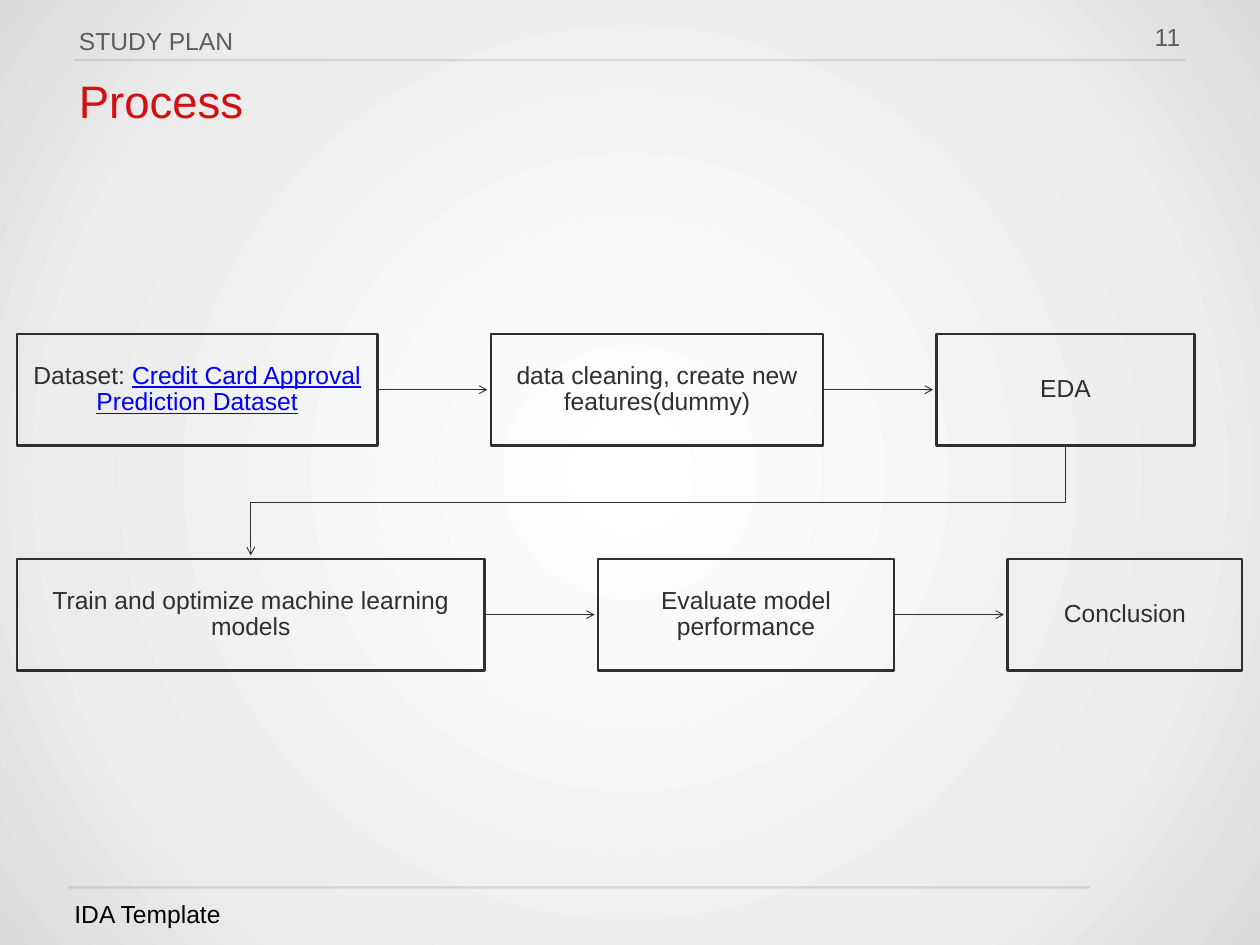
from dataclasses import dataclass
from lxml.etree import SubElement
from pptx import Presentation
from pptx.dml.color import RGBColor
from pptx.enum.shapes import MSO_CONNECTOR, MSO_SHAPE
from pptx.enum.text import MSO_ANCHOR, MSO_AUTO_SIZE, PP_ALIGN
from pptx.oxml.ns import qn
from pptx.util import Inches, Pt


@dataclass(frozen=True)
class Theme:
    font: str = "Arial"
    title_size: int = 37
    text_size: int = 20
    title: str = "D30F11"
    muted: str = "5A5F5E"
    ink: str = "2D302F"
    footer: str = "000000"
    link: str = "0000FF"
    background: tuple = ((0, "FFFFFF"), (73, "ECECEC"), (100, "DADADA"))
    rule_alpha: int = 16
    rule_width: float = 2
    arrow_width: float = 0.75


class Deck:
    def __init__(self, theme, width, height):
        self.theme = theme
        self.prs = Presentation()
        self.prs.slide_width = Inches(width)
        self.prs.slide_height = Inches(height)
        self.s = self.prs.slides.add_slide(self.prs.slide_layouts[5])

    def background(self):
        self.s.background.fill.gradient()
        grad = self.s.element.find(".//" + qn("a:gradFill"))
        for child in list(grad):
            grad.remove(child)
        stops = SubElement(grad, qn("a:gsLst"))
        for pos, color in self.theme.background:
            stop = SubElement(stops, qn("a:gs"), pos=str(pos * 1000))
            SubElement(stop, qn("a:srgbClr"), val=color)
        circle = SubElement(grad, qn("a:path"), {"path": "circle"})
        SubElement(circle, qn("a:fillToRect"),
                   {side: "50000" for side in "ltrb"})

    def set_text(self, sp, runs, size, align=PP_ALIGN.LEFT,
                 anchor=MSO_ANCHOR.TOP, inset=0.06, spacing=1.0):
        tf = sp.text_frame
        tf.word_wrap = True
        tf.auto_size = MSO_AUTO_SIZE.NONE
        tf.vertical_anchor = anchor
        tf.margin_left = tf.margin_right = Inches(inset)
        tf.margin_top = tf.margin_bottom = Inches(inset)
        p = tf.paragraphs[0]
        p.alignment = align
        p.line_spacing = spacing
        p.space_before = Pt(0)
        for text, color in runs:
            r = p.add_run()
            r.text = text
            r.font.name = self.theme.font
            r.font.size = Pt(size)
            r.font.color.rgb = RGBColor.from_string(color)
            if color == self.theme.link:
                r.font.underline = True

    def title(self, text, x, y, w, h):
        sp = self.s.shapes.title
        sp.left, sp.top, sp.width, sp.height = map(Inches, (x, y, w, h))
        self.set_text(sp, [(text, self.theme.title)], self.theme.title_size,
                      spacing=0.9)

    def label(self, text, color, x, y, w, h, **style):
        sp = self.s.shapes.add_textbox(*map(Inches, (x, y, w, h)))
        self.set_text(sp, [(text, color)], self.theme.text_size, **style)

    def stroke(self, sp, color, width):
        sp.line.color.rgb = RGBColor.from_string(color)
        sp.line.width = Pt(width)
        return sp.element.spPr.find(qn("a:ln"))

    def line(self, x1, y1, x2, y2, color, width):
        cx = self.s.shapes.add_connector(
            MSO_CONNECTOR.STRAIGHT, *map(Inches, (x1, y1, x2, y2)))
        ln = self.stroke(cx, color, width)
        SubElement(cx.element.spPr, qn("a:effectLst"))
        return ln

    def rule(self, x1, x2, y):
        ln = self.line(x1, y, x2, y, self.theme.muted, self.theme.rule_width)
        SubElement(ln.find(".//" + qn("a:srgbClr")), qn("a:alpha"),
                   val=str(self.theme.rule_alpha * 1000))

    def arrow(self, x1, x2, y):
        ln = self.line(x1, y, x2, y, self.theme.ink, self.theme.arrow_width)
        SubElement(ln, qn("a:tailEnd"), type="arrow")

    def bent_arrow(self, points):
        start, *rest = [(Inches(x), Inches(y)) for x, y in points]
        builder = self.s.shapes.build_freeform(*start)
        builder.add_line_segments(rest, close=False)
        sp = builder.convert_to_shape()
        sp.shadow.inherit = False
        sp.fill.background()
        ln = self.stroke(sp, self.theme.ink, self.theme.arrow_width)
        SubElement(ln, qn("a:tailEnd"), type="arrow")

    def step(self, runs, x, y, w, h):
        sp = self.s.shapes.add_shape(
            MSO_SHAPE.RECTANGLE, *map(Inches, (x, y, w, h)))
        sp.shadow.inherit = False
        sp.fill.background()
        self.stroke(sp, self.theme.ink, self.theme.rule_width)
        self.set_text(sp, runs, self.theme.text_size, PP_ALIGN.CENTER,
                      MSO_ANCHOR.MIDDLE, 0.16, 0.9)


def main():
    theme = Theme()
    deck = Deck(theme, 14.22, 10.67)
    deck.background()
    deck.rule(0.83, 13.38, 0.68)
    deck.rule(0.77, 12.3, 10.02)
    deck.label("11", theme.muted, 12.84, 0.23, 0.54, 0.44,
               align=PP_ALIGN.RIGHT, spacing=0.9)
    deck.label("STUDY PLAN", theme.muted, 0.83, 0.23, 10.39, 0.45)
    deck.title("Process", 0.83, 0.83, 12.54, 0.67)
    deck.label("IDA Template", theme.footer, 0.78, 10.1, 5.99, 0.44,
               anchor=MSO_ANCHOR.BOTTOM)

    left, gap, height, tip = 0.19, 1.28, 1.26, 0.04
    row_tops = (3.77, 6.31)
    rows = (
        ((4.07, [("Dataset: ", theme.ink),
                 ("Credit Card Approval Prediction Dataset", theme.link)]),
         (3.75, [("data cleaning, create new features(dummy)", theme.ink)]),
         (2.91, [("EDA", theme.ink)])),
        ((5.28, [("Train and optimize machine learning models", theme.ink)]),
         (3.34, [("Evaluate model performance", theme.ink)]),
         (2.65, [("Conclusion", theme.ink)])),
    )
    centers = []
    for top, steps in zip(row_tops, rows):
        x = left
        for i, (width, runs) in enumerate(steps):
            if i:
                deck.arrow(x - gap, x - tip, top + height / 2)
            deck.step(runs, x, top, width, height)
            centers.append(x + width / 2)
            x += width + gap

    eda, train = centers[2], centers[3]
    bottom, next_top = row_tops[0] + height, row_tops[1]
    middle = (bottom + next_top) / 2
    deck.bent_arrow([(eda, bottom), (eda, middle),
                     (train, middle), (train, next_top - tip)])
    deck.prs.save("out.pptx")


if __name__ == "__main__":
    main()
